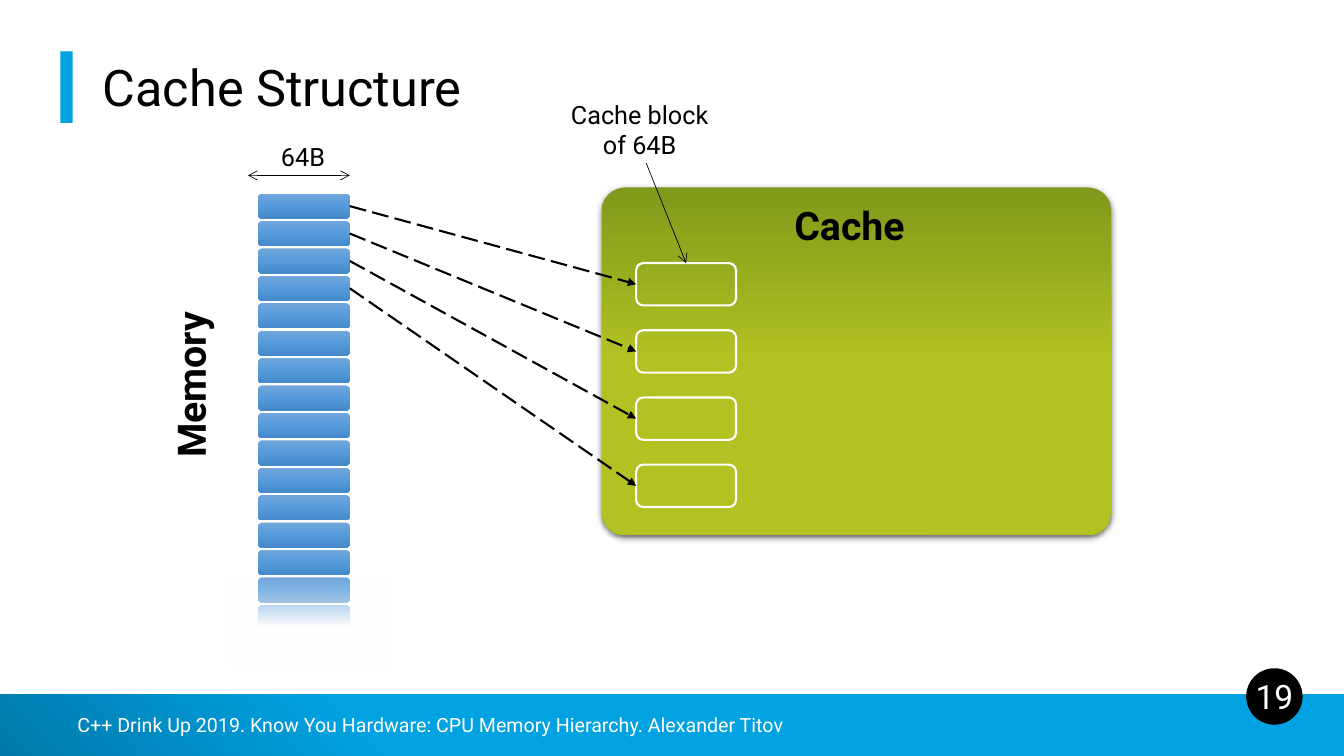
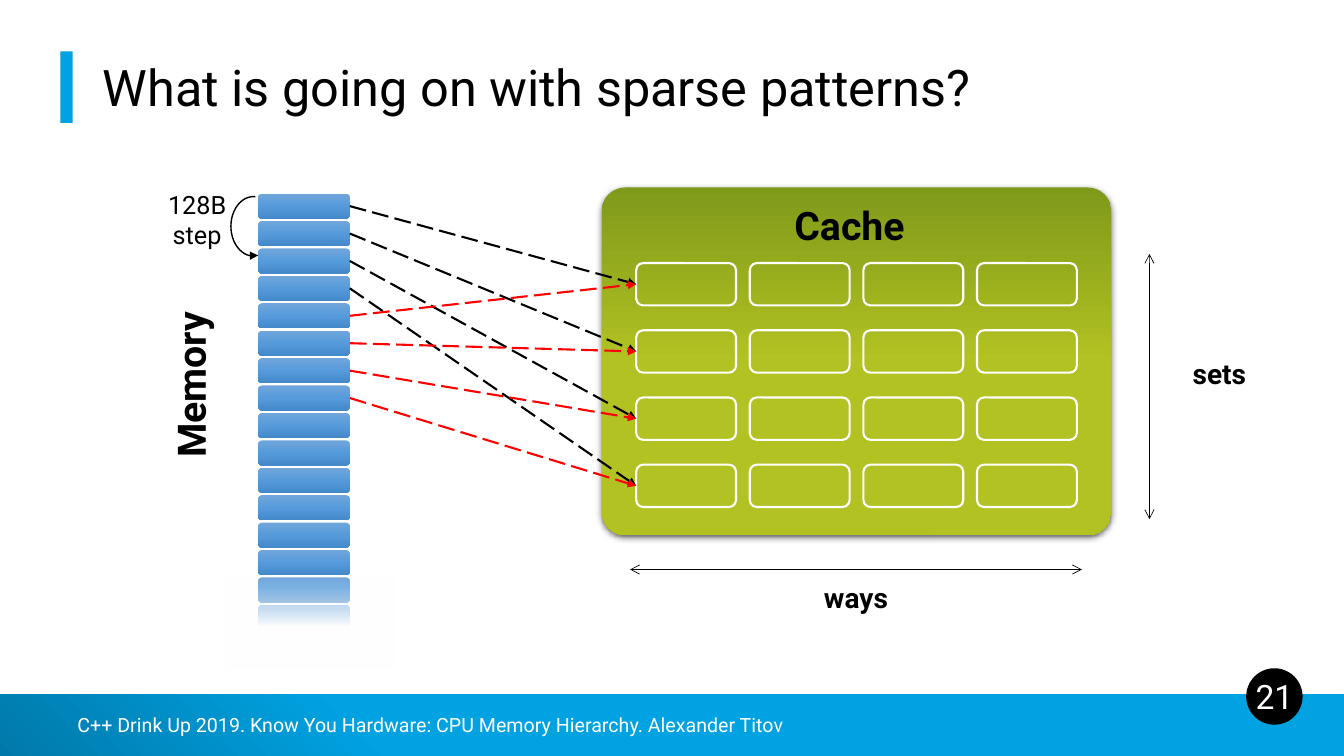
from lxml.etree import SubElement
from pptx import Presentation
from pptx.dml.color import RGBColor
from pptx.enum.dml import MSO_LINE
from pptx.enum.shapes import MSO_CONNECTOR, MSO_SHAPE
from pptx.enum.text import MSO_ANCHOR as ANCHOR, MSO_AUTO_SIZE, PP_ALIGN as ALIGN
from pptx.oxml.ns import qn
from pptx.util import Inches, Pt

WIDTH, HEIGHT = 13.33, 7.5
FONT = "Roboto"
BLACK, WHITE, RED, ACCENT = "000000", "FFFFFF", "FF0000", "00A2E2"
BAND_STOPS = [(0, "0079AA"), (28, ACCENT), (100, ACCENT)]
CACHE_STOPS = [(0, "7F991A"), (50, "B2C222"), (100, "B2C222")]
MEMORY_STOPS = [(0, "71A6DB"), (50, "559BDB"), (100, "448ACA")]
FADE_STOPS = [(0, WHITE, 0), (54, WHITE), (100, WHITE)]
FOOTER = "C++ Drink Up 2019. Know You Hardware: CPU Memory Hierarchy. Alexander Titov"

MEMORY_ROWS, CACHE_ROWS = 16, 4
MEMORY_LEFT, MEMORY_TOP, MEMORY_PITCH = 2.56, 1.92, 4.08 / 15
MEMORY_SIZE = (0.91, 0.25)
CACHE_LEFT, CACHE_TOP = 6.31, 2.61
CACHE_PITCH_X, CACHE_PITCH_Y = 3.38 / 3, 2 / 3
CACHE_SIZE = (0.99, 0.42)

SLIDES = [
    {
        "title": "Cache Structure",
        "number": "19",
        "ways": 1,
        "mappings": [BLACK],
        "labels": [
            ("Cache block of 64B", (5.46, 0.93, 1.77, 0.71), {"size": 18, "wrap": True}),
            ("64B", (2.68, 1.35, 0.65, 0.4), {"size": 18}),
        ],
        "dimensions": [((2.46, 1.74), (3.47, 1.74))],
        "callout": (6.41, 1.62),
    },
    {
        "title": "What is going on with sparse patterns?",
        "number": "21",
        "ways": 4,
        "mappings": [BLACK, RED],
        "labels": [
            ("ways", (8.07, 5.71, 0.84, 0.44), {"size": 20, "bold": True}),
            ("sets", (11.73, 3.48, 0.73, 0.44), {"size": 20, "bold": True}),
            ("128B\nstep", (1.56, 1.82, 0.79, 0.71), {"size": 18}),
        ],
        "dimensions": [((6.25, 5.65), (10.73, 5.65)), ((11.4, 2.52), (11.4, 5.15))],
        "step_arc": (2.29, 1.95, 0.45, 0.59),
    },
]


def color(value):
    return RGBColor.from_string(value)


def inches(lengths):
    return [Inches(length) for length in lengths]


def write(shape, text, size=18, bold=False, ink=BLACK, align=ALIGN.CENTER,
          anchor=ANCHOR.MIDDLE, wrap=False, spacing=None):
    frame = shape.text_frame
    frame.text = text
    frame.auto_size = MSO_AUTO_SIZE.NONE
    frame.word_wrap = wrap
    frame.vertical_anchor = anchor
    for paragraph in frame.paragraphs:
        paragraph.alignment = align
        paragraph.line_spacing = spacing
        for run in paragraph.runs:
            run.font.name = FONT
            run.font.size = Pt(size)
            run.font.bold = bold
            run.font.color.rgb = color(ink)


def add_text(slide, text, box, **style):
    shape = slide.shapes.add_textbox(*inches(box))
    write(shape, text, **style)
    return shape


def set_gradient(shape, stops, angle):
    shape.fill.gradient()
    gradient = shape.element.spPr.find(qn("a:gradFill"))
    for child in list(gradient):
        gradient.remove(child)
    stop_list = SubElement(gradient, qn("a:gsLst"))
    for position, value, *opacity in stops:
        stop = SubElement(stop_list, qn("a:gs"), pos=str(position * 1000))
        ink = SubElement(stop, qn("a:srgbClr"), val=value)
        for share in opacity:
            SubElement(ink, qn("a:alpha"), val=str(share * 1000))
    SubElement(gradient, qn("a:lin"), ang=str(angle * 60000), scaled="0")


def add_box(slide, kind, box, fill=None, stops=None, angle=90, line=None, weight=1.5):
    shape = slide.shapes.add_shape(kind, *inches(box))
    shape.shadow.inherit = False
    if stops:
        set_gradient(shape, stops, angle)
    elif fill:
        shape.fill.solid()
        shape.fill.fore_color.rgb = color(fill)
    else:
        shape.fill.background()
    if line:
        shape.line.color.rgb = color(line)
        shape.line.width = Pt(weight)
    else:
        shape.line.fill.background()
    return shape


def add_arrowheads(shape, head=None, tail=None):
    outline = shape.line._get_or_add_ln()
    for tag, kind in (("a:headEnd", head), ("a:tailEnd", tail)):
        if kind:
            SubElement(outline, qn(tag), type=kind)


def add_line(slide, start, end, ink=BLACK, weight=0.5, dash=None, head=None, tail=None):
    line = slide.shapes.add_connector(MSO_CONNECTOR.STRAIGHT, *inches((*start, *end)))
    line.line.color.rgb = color(ink)
    line.line.width = Pt(weight)
    if dash:
        line.line.dash_style = dash
    add_arrowheads(line, head, tail)
    SubElement(line.element.spPr, qn("a:effectLst"))
    return line


def build_layout(layout, slide):
    for placeholder in list(layout.placeholders):
        if placeholder.placeholder_format.idx:
            placeholder.element.getparent().remove(placeholder.element)
    parts = [
        add_box(slide, MSO_SHAPE.RECTANGLE, (0, 6.89, WIDTH, HEIGHT - 6.89),
                stops=BAND_STOPS, angle=315),
        add_box(slide, MSO_SHAPE.RECTANGLE, (0.6, 0.51, 0.12, 0.71), fill=ACCENT),
        add_box(slide, MSO_SHAPE.OVAL, (12.36, 6.63, 0.56, 0.56), fill=BLACK),
        add_text(slide, FOOTER, (0.67, 6.95, 11, 0.48), size=14, ink=WHITE,
                 align=ALIGN.LEFT, wrap=True),
    ]
    for part in parts:
        layout.shapes.element.append(part.element)


def add_heading(slide, title, number):
    heading = slide.shapes.title
    heading.left, heading.top, heading.width, heading.height = inches((0.92, 0, 11.5, 1.22))
    write(heading, title, size=36, align=ALIGN.LEFT, anchor=ANCHOR.BOTTOM,
          wrap=True, spacing=0.9)
    add_text(slide, number, (12.28, 6.63, 0.72, 0.56), size=24, ink=WHITE, wrap=True)


def add_memory(slide):
    lines = [
        add_box(slide, MSO_SHAPE.ROUNDED_RECTANGLE,
                (MEMORY_LEFT, MEMORY_TOP + row * MEMORY_PITCH, *MEMORY_SIZE),
                stops=MEMORY_STOPS)
        for row in range(MEMORY_ROWS)
    ]
    add_box(slide, MSO_SHAPE.RECTANGLE, (2.24, 5.73, 1.68, 0.9), stops=FADE_STOPS)
    label = add_text(slide, "Memory", (1.06, 3.53, 1.66, 0.57), size=28, bold=True,
                     anchor=ANCHOR.TOP)
    label.rotation = 270
    return lines


def add_cache(slide, ways):
    body = add_box(slide, MSO_SHAPE.ROUNDED_RECTANGLE, (5.97, 1.86, 5.05, 3.45),
                   stops=CACHE_STOPS)
    body.adjustments[0] = 0.067
    effects = body.element.spPr.find(qn("a:effectLst"))
    shadow = SubElement(effects, qn("a:outerShdw"), blurRad=str(Pt(4.5)),
                        dist=str(Pt(1.5)), dir="5400000", algn="t", rotWithShape="0")
    ink = SubElement(shadow, qn("a:srgbClr"), val=BLACK)
    SubElement(ink, qn("a:alpha"), val="63000")
    add_text(slide, "Cache", (7.77, 1.95, 1.31, 0.57), size=28, bold=True,
             anchor=ANCHOR.TOP)
    return [
        [
            add_box(slide, MSO_SHAPE.ROUNDED_RECTANGLE,
                    (CACHE_LEFT + way * CACHE_PITCH_X, CACHE_TOP + row * CACHE_PITCH_Y,
                     *CACHE_SIZE), line=WHITE)
            for way in range(ways)
        ]
        for row in range(CACHE_ROWS)
    ]


def add_mappings(slide, memory, cache, inks):
    for index, line in enumerate(memory[:CACHE_ROWS * len(inks)]):
        group, row = divmod(index, CACHE_ROWS)
        arrow = add_line(slide, (0, 0), (1, 1), ink=inks[group], weight=1.5,
                         dash=MSO_LINE.LONG_DASH, tail="triangle")
        arrow.begin_connect(line, 3)
        arrow.end_connect(cache[row][0], 1)


def add_step_arc(slide, box):
    arc = add_box(slide, MSO_SHAPE.ARC, box, line=BLACK, weight=1)
    arc.adjustments[0], arc.adjustments[1] = 159.99, 59.4
    arc.element.spPr.find(qn("a:xfrm")).set("flipH", "1")
    add_arrowheads(arc, tail="triangle")


def build_slide(slide, content):
    add_heading(slide, content["title"], content["number"])
    memory = add_memory(slide)
    cache = add_cache(slide, content["ways"])
    add_mappings(slide, memory, cache, content["mappings"])
    for start, end in content["dimensions"]:
        add_line(slide, start, end, head="arrow", tail="arrow")
    for text, box, style in content["labels"]:
        add_text(slide, text, box, **style)
    if "callout" in content:
        pointer = add_line(slide, content["callout"], (CACHE_LEFT, CACHE_TOP), tail="arrow")
        pointer.end_connect(cache[0][0], 0)
    if "step_arc" in content:
        add_step_arc(slide, content["step_arc"])


def main():
    presentation = Presentation()
    presentation.slide_width, presentation.slide_height = inches((WIDTH, HEIGHT))
    layout = presentation.slide_layouts[5]
    slides = [presentation.slides.add_slide(layout) for _ in SLIDES]
    build_layout(layout, slides[0])
    for slide, content in zip(slides, SLIDES):
        build_slide(slide, content)
    presentation.save("out.pptx")


if __name__ == "__main__":
    main()
